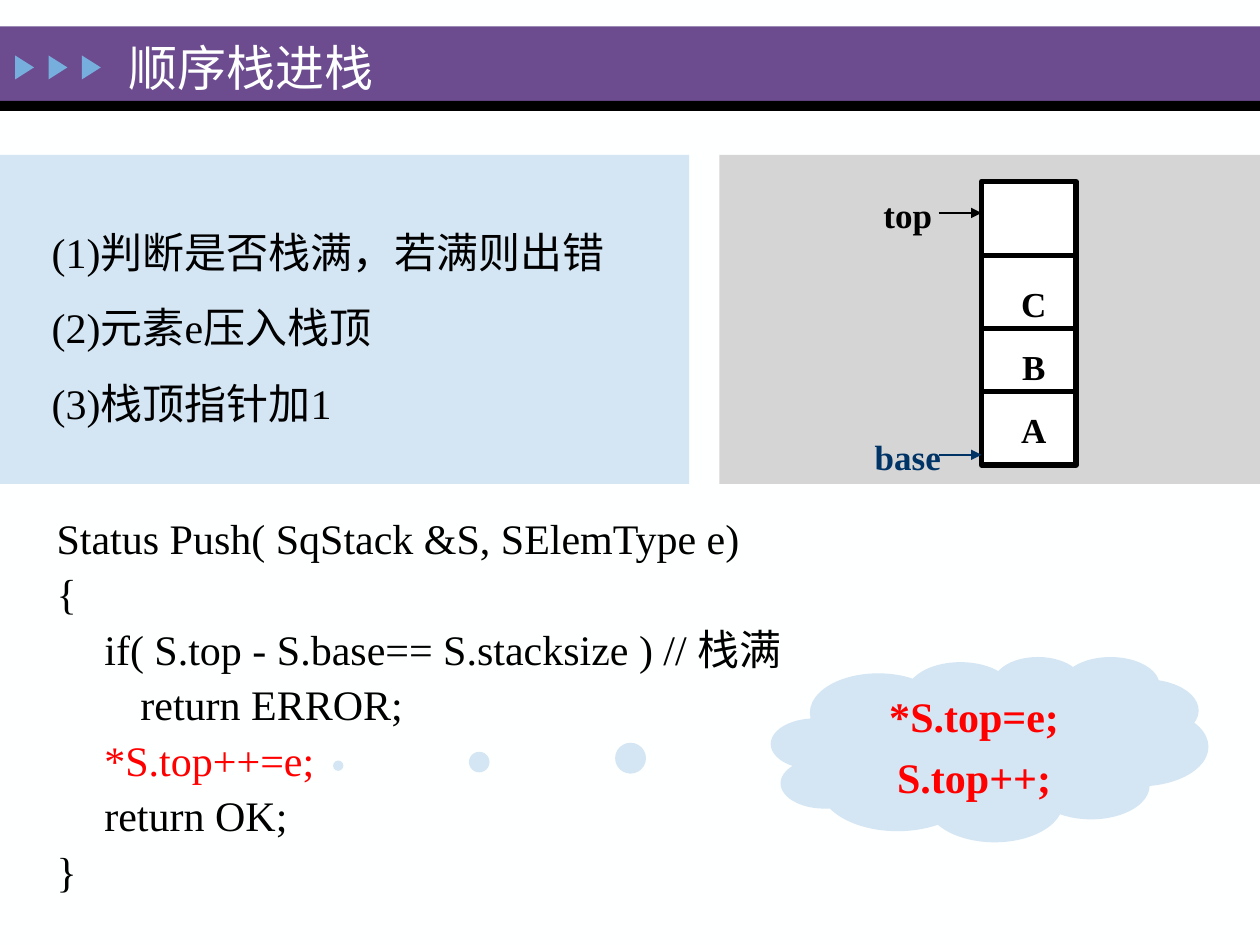
from dataclasses import dataclass

from lxml.etree import SubElement
from pptx import Presentation
from pptx.dml.color import RGBColor
from pptx.enum.shapes import MSO_CONNECTOR, MSO_SHAPE
from pptx.enum.text import MSO_ANCHOR, MSO_AUTO_SIZE, PP_ALIGN
from pptx.oxml.ns import qn
from pptx.util import Inches, Pt


@dataclass(frozen=True)
class Theme:
    font: str = "Times New Roman"
    paper: str = "FEFFFF"
    white: str = "FFFFFF"
    ink: str = "000000"
    purple: str = "6C4C8F"
    sky: str = "76AEDD"
    pale: str = "D4E6F4"
    gray: str = "D5D5D5"
    navy: str = "003366"
    red: str = "FF0000"
    title_size: int = 28
    body_size: int = 24
    label_size: int = 20
    heavy_line: float = 3
    arrow_line: float = 1.5


THEME = Theme()
COLUMNS, ROWS = 100, 75


def write_text(shape, lines, size=THEME.body_size, color=THEME.ink, bold=False,
               align=PP_ALIGN.LEFT, anchor=MSO_ANCHOR.TOP, margin=0, hanging=0,
               line_spacing=1, space_before=5.8, highlight=None):
    frame = shape.text_frame
    frame.word_wrap = True
    frame.auto_size = MSO_AUTO_SIZE.NONE
    frame.vertical_anchor = anchor
    for index, line in enumerate(lines):
        paragraph = frame.paragraphs[0] if index == 0 else frame.add_paragraph()
        properties = paragraph._p.get_or_add_pPr()
        properties.set("marL", str(Inches(margin)))
        properties.set("indent", str(Inches(-hanging)))
        SubElement(properties, qn("a:buNone"))
        paragraph.alignment = align
        paragraph.line_spacing = line_spacing
        paragraph.space_before = Pt(space_before if index else 0)
        run = paragraph.add_run()
        run.text = line
        run.font.name = THEME.font
        run.font.size = Pt(size)
        run.font.bold = bold
        shown = THEME.red if line.strip() == highlight else color
        run.font.color.rgb = RGBColor.from_string(shown)


class SlideBuilder:
    def __init__(self, presentation, theme):
        self.theme = theme
        self.width = presentation.slide_width
        self.height = presentation.slide_height
        self.slide = presentation.slides.add_slide(presentation.slide_layouts[1])
        background = self.slide.background.fill
        background.solid()
        background.fore_color.rgb = RGBColor.from_string(theme.paper)

    def grid(self, column, row):
        return round(self.width * column / COLUMNS), round(self.height * row / ROWS)

    def area(self, left, top, width, height):
        return *self.grid(left, top), *self.grid(width, height)

    def shape(self, kind, area, fill, outline=None, rotation=0):
        shape = self.slide.shapes.add_shape(kind, *self.area(*area))
        shape.shadow.inherit = False
        shape.fill.solid()
        shape.fill.fore_color.rgb = RGBColor.from_string(fill)
        shape.rotation = rotation
        if outline:
            shape.line.color.rgb = RGBColor.from_string(outline)
            shape.line.width = Pt(self.theme.heavy_line)
        else:
            shape.line.fill.background()
        return shape

    def placeholder(self, index, area, lines, fill=None, **text_format):
        shape = self.slide.placeholders[index]
        shape.left, shape.top, shape.width, shape.height = self.area(*area)
        shape.element.getparent().append(shape.element)
        if fill:
            shape.fill.solid()
            shape.fill.fore_color.rgb = RGBColor.from_string(fill)
        write_text(shape, lines, anchor=MSO_ANCHOR.MIDDLE, **text_format)

    def text(self, area, lines, **text_format):
        box = self.slide.shapes.add_textbox(*self.area(*area))
        write_text(box, lines, **text_format)

    def label(self, area, word, color=THEME.ink):
        self.text(area, [word], size=self.theme.label_size, color=color,
                  bold=True, align=PP_ALIGN.CENTER)

    def line(self, left, right, row, color, width, arrow=False):
        connector = self.slide.shapes.add_connector(
            MSO_CONNECTOR.STRAIGHT, *self.grid(left, row), *self.grid(right, row))
        connector.line.color.rgb = RGBColor.from_string(color)
        connector.line.width = Pt(width)
        if arrow:
            SubElement(connector.line._get_or_add_ln(), qn("a:tailEnd"), type="triangle")
        SubElement(connector.element.spPr, qn("a:effectLst"))


def draw_header(builder):
    theme = builder.theme
    builder.shape(MSO_SHAPE.RECTANGLE, (0, 2.1, 100, 5.9), theme.purple)
    builder.shape(MSO_SHAPE.RECTANGLE, (0, 8, 100, 0.8), theme.ink)
    for position in range(3):
        builder.shape(MSO_SHAPE.ISOSCELES_TRIANGLE, (1 + 2.65 * position, 4.6, 1.9, 1.5),
                      theme.sky, rotation=90)
    builder.placeholder(0, (9.2, 2.8, 70, 5), ["顺序栈进栈"],
                        size=theme.title_size, color=theme.paper)


def draw_steps(builder):
    steps = ["(1)判断是否栈满，若满则出错", "(2)元素e压入栈顶", "(3)栈顶指针加1"]
    builder.placeholder(1, (0, 12.3, 54.7, 26.1), steps, fill=builder.theme.pale,
                        margin=0.98, hanging=0.67, line_spacing=1.3)


def draw_code(builder):
    theme = builder.theme
    code = [
        "Status Push( SqStack &S, SElemType e)",
        "{",
        "\tif( S.top - S.base== S.stacksize ) // 栈满",
        "        return ERROR;",
        "\t*S.top++=e;",
        "\treturn OK;",
        "}",
    ]
    builder.text((3.5, 40.6, 63.8, 32), code, margin=0.38, hanging=0.38,
                 line_spacing=0.9, highlight="*S.top++=e;")
    cloud = builder.shape(MSO_SHAPE.CLOUD_CALLOUT, (61.2, 52.1, 34.7, 14.7), theme.pale)
    cloud.adjustments[0] = -1.49
    cloud.adjustments[1] = 0.09
    write_text(cloud, ["*S.top=e;", "S.top++;"], color=theme.red, bold=True,
               align=PP_ALIGN.CENTER, margin=0.38, hanging=0.38)


def draw_stack(builder):
    theme = builder.theme
    left, right, arrow_start = 77.9, 85.4, 74.5
    builder.shape(MSO_SHAPE.RECTANGLE, (57.1, 12.3, 42.9, 26.1), theme.gray)
    builder.shape(MSO_SHAPE.RECTANGLE, (left, 14.4, right - left, 22.5),
                  theme.white, outline=theme.ink)
    for row in (20.3, 26.1, 31.1):
        builder.line(left, right, row, theme.ink, theme.heavy_line)
    for position, element in enumerate("CBA"):
        builder.label((78.7, 21.9 + 5 * position, 6.7, 4.3), element)
    for name, row, color in (("top", 16.9, theme.ink), ("base", 36.1, theme.navy)):
        builder.line(arrow_start, left, row, color, theme.arrow_line, arrow=True)
        builder.label((65.4, row - 2, 13.3, 4.3), name, color)


def main():
    presentation = Presentation()
    presentation.slide_width = Inches(10)
    presentation.slide_height = Inches(7.5)
    builder = SlideBuilder(presentation, THEME)
    draw_header(builder)
    draw_steps(builder)
    draw_code(builder)
    draw_stack(builder)
    presentation.save("out.pptx")


if __name__ == "__main__":
    main()
